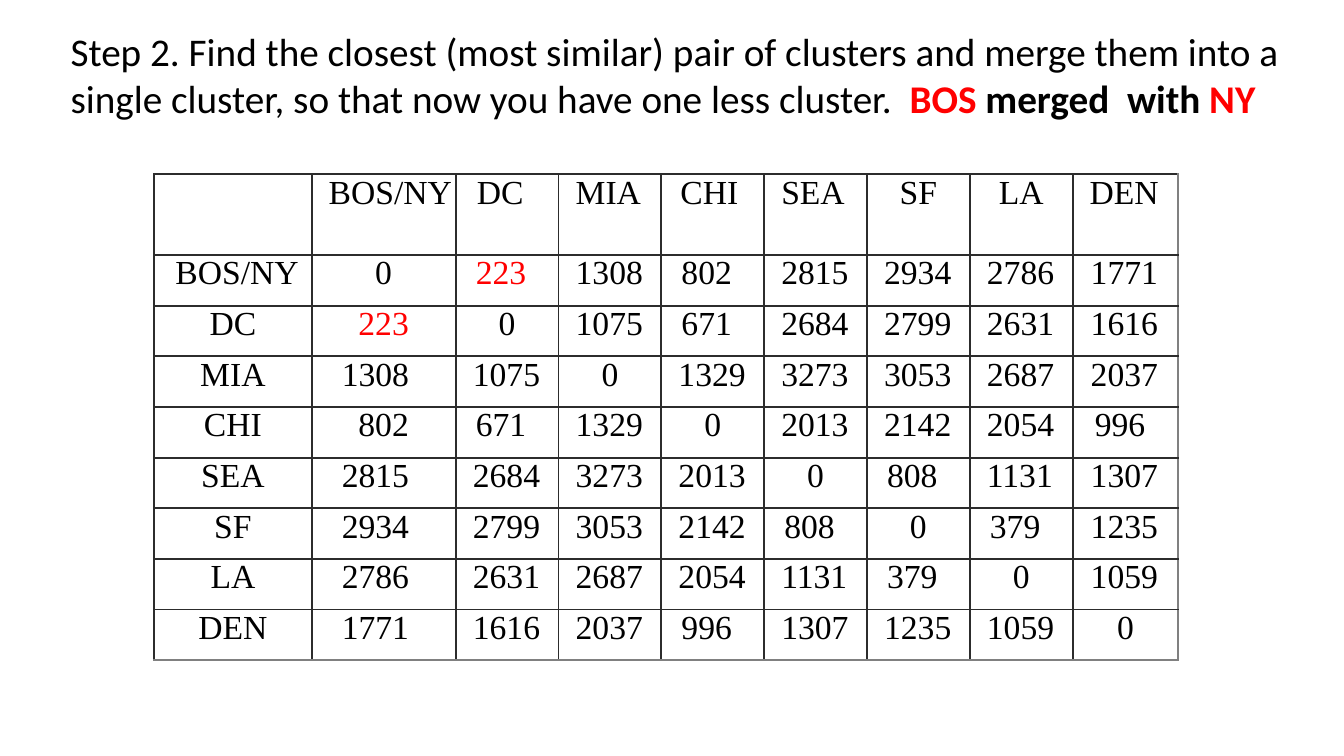
"""Build the slide on merging BOS with NY in a table of city distances."""
import pptx
import pptx.dml.color
import pptx.enum.text
import pptx.oxml
import pptx.oxml.ns
import pptx.util

Inches = pptx.util.Inches
Align = pptx.enum.text.PP_ALIGN
Anchor = pptx.enum.text.MSO_ANCHOR
HUES = {"text": "000000", "mark": "FF0000", "line": "2C2C2C", "edge": "808080"}
NAMES = ["BOS/NY", "DC", "MIA", "CHI", "SEA", "SF", "LA", "DEN"]
MILES = [
    "0",
    "223 0",
    "1308 1075 0",
    "802 671 1329 0",
    "2815 2684 3273 2013 0",
    "2934 2799 3053 2142 808 0",
    "2786 2631 2687 2054 1131 379 0",
    "1771 1616 2037 996 1307 1235 1059 0",
]
HEADS = {"BOS/NY": 0.17, "DC": 0.21, "MIA": 0.17, "CHI": 0.19, "SEA": 0.17, "DEN": 0.17}


def write(para, text, size=24, face="Times New Roman", hue="text", bold=False):
    run = para.add_run()
    run.text = text
    run.font.size = pptx.util.Pt(size)
    run.font.name = face
    run.font.bold = bold
    run.font.color.rgb = pptx.dml.color.RGBColor.from_string(HUES[hue])


def border(cell, side, hue):
    cell._tc.get_or_add_tcPr().append(pptx.oxml.parse_xml(
        f'<a:ln{side} {pptx.oxml.ns.nsdecls("a")} w="{pptx.util.Pt(1.6)}">'
        f'<a:solidFill><a:srgbClr val="{HUES[hue]}"/></a:solidFill></a:ln{side}>'))


deck = pptx.Presentation()
deck.slide_width, deck.slide_height = Inches(13.33), Inches(7.5)
slide = deck.slides.add_slide(deck.slide_layouts[5])

title = slide.shapes.title
title.left, title.top = Inches(0.6), Inches(0.22)
title.width, title.height = Inches(12.86), Inches(1.04)
frame = title.text_frame
frame.word_wrap = True
frame.auto_size = pptx.enum.text.MSO_AUTO_SIZE.NONE
frame.vertical_anchor = Anchor.TOP
para = frame.paragraphs[0]
para.alignment = Align.LEFT
step = ("Step 2. Find the closest (most similar) pair of clusters and merge them into a "
        "single cluster, so that now you have one less cluster.  ")
for text, hue, bold in [(step, "text", False), ("BOS ", "mark", True),
                        ("merged  with ", "text", True), ("NY", "mark", True)]:
    write(para, text, size=28, face="Calibri", hue=hue, bold=bold)

count = len(NAMES) + 1
widths = [1.56, 1.43] + [1.02] * 6 + [1.05]
table = slide.shapes.add_table(count, count, Inches(1.53), Inches(1.73),
                               Inches(sum(widths)), Inches(4.82)).table
table.first_row = table.horz_banding = False
for col, width in enumerate(widths):
    table.columns[col].width = Inches(width)
for row in range(count):
    table.rows[row].height = Inches(4.02 / 8 if row else 0.8)

grid = [line.split() for line in MILES]
last = count - 1
for row in range(count):
    for col in range(count):
        cell = table.cell(row, col)
        cell.margin_left = cell.margin_right = cell.margin_top = cell.margin_bottom = 0
        cell.vertical_anchor = Anchor.TOP
        border(cell, "L", "line")
        border(cell, "R", "edge" if col == last else "line")
        border(cell, "T", "line")
        border(cell, "B", "edge" if row == last else "line")
        cell.fill.background()
        if row == col == 0:
            continue

        if row == 0:
            text = NAMES[col - 1]
            indent = HEADS.get(text)
        elif col == 0:
            text = NAMES[row - 1]
            indent = 0.21 if row == 1 else None
        else:
            text = grid[max(row, col) - 1][min(row, col) - 1]
            short = len(text) == 3
            if text == "0" or (col == 1 and short):
                indent = None
            elif col == 1:
                indent = 0.3
            elif col == last:
                indent = 0.22 if short else 0.18
            else:
                indent = 0.2 if short else 0.17

        para = cell.text_frame.paragraphs[0]
        if indent is None:
            para.alignment = Align.CENTER
        else:
            para.alignment = Align.LEFT
            para._p.get_or_add_pPr().set("marL", str(Inches(indent)))
        write(para, text, hue="mark" if text == "223" else "text")

deck.save("out.pptx")
